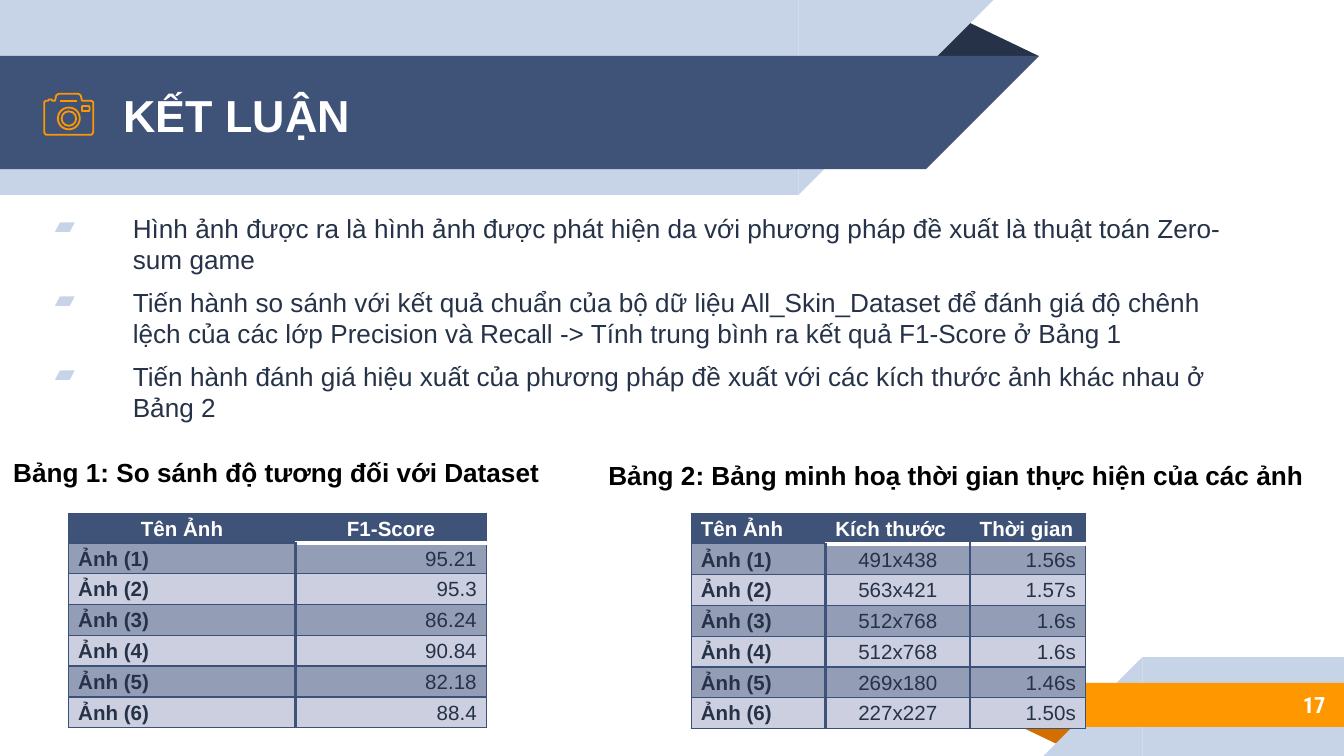
from lxml.etree import SubElement as Sub
from pptx import Presentation
from pptx.dml.color import RGBColor as RGB
from pptx.enum.shapes import MSO_CONNECTOR as Link, MSO_SHAPE as Kind
from pptx.enum.text import MSO_ANCHOR as Anchor, MSO_AUTO_SIZE as Fit, PP_ALIGN as Align
from pptx.oxml.ns import qn
from pptx.util import Pt

hues = {"navy": "3F5378", "edge": "3C5177", "ink": "263248", "pale": "C7D3E6",
        "gold": "FF9800", "rust": "D26F00", "white": "FFFFFF", "black": "000000",
        "dim": "939DB6", "light": "CBCFDF"}


def write(para, text, size, hue, bold=False, font="Arial"):
    run = para.add_run()
    run.text = text
    run.font.size, run.font.bold, run.font.name = Pt(size), bold, font
    run.font.color.rgb = RGB.from_string(hues[hue])


def add_box(left, top, width, height, anchor=Anchor.MIDDLE):
    frame = slide.shapes.add_textbox(Pt(left), Pt(top), Pt(width), Pt(height)).text_frame
    frame.word_wrap, frame.vertical_anchor = True, anchor
    frame.margin_top = frame.margin_bottom = Pt(7.2 if anchor == Anchor.MIDDLE else 3.6)
    return frame


deck = Presentation()
deck.slide_width, deck.slide_height = Pt(720), Pt(405)
slide = deck.slides.add_slide(deck.slide_layouts[5])
shapes = slide.shapes

bands = [
    (Kind.ISOSCELES_TRIANGLE, 547.2, 389.5, 31, 10.1, "rust", 180, False),
    (Kind.RECTANGLE, 612, 352.1, 108, 52.9, "pale", 0, False),
    (Kind.RIGHT_TRIANGLE, 559.1, 352.1, 52.9, 52.9, "pale", 0, True),
    (Kind.RECTANGLE, 571, 365.8, 149, 23.7, "gold", 0, False),
    (Kind.RIGHT_TRIANGLE, 547.2, 365.8, 23.8, 23.7, "gold", 0, True),
    (Kind.ISOSCELES_TRIANGLE, 495.4, 10.1, 61.2, 20, "ink", 0, False),
    (Kind.RECTANGLE, 0, 0, 427.7, 104.4, "pale", 0, False),
    (Kind.RIGHT_TRIANGLE, 427.7, 0, 104.4, 104.4, "pale", 180, True),
    (Kind.RECTANGLE, 0, 30, 496.1, 60.6, "navy", 0, False),
    (Kind.RIGHT_TRIANGLE, 496.1, 30, 60.6, 60.6, "navy", 180, True),
]
for kind, left, top, width, height, hue, turn, flip in bands:
    band = shapes.add_shape(kind, Pt(left), Pt(top), Pt(width), Pt(height))
    band.shadow.inherit = False
    band.fill.solid()
    band.fill.fore_color.rgb = RGB.from_string(hues[hue])
    band.line.fill.background()
    band.rotation = turn
    if flip:
        band.element.spPr.xfrm.set("flipH", "1")
    if kind == Kind.ISOSCELES_TRIANGLE:
        band.adjustments[0] = 0.32

title = shapes.title
title.left, title.top, title.width, title.height = Pt(59), Pt(35.3), Pt(424), Pt(52.6)
frame = title.text_frame
frame.auto_size, frame.vertical_anchor = Fit.NONE, Anchor.MIDDLE
frame.paragraphs[0].alignment = Align.LEFT
write(frame.paragraphs[0], "KẾT LUẬN", 24, "white", True)
shapes.element.append(title.element)

page = add_box(599.8, 365, 117.4, 25.2).paragraphs[0]
page.alignment = Align.RIGHT
write(page, "17", 12, "white", True, "Roboto Condensed")

body = [(49, 54), (44, 54), (43.2, 51), (41.8, 50.2), (31.7, 50.2), (30.2, 51),
        (29.5, 54), (28.2, 54), (27.5, 53.3), (26.2, 53.3), (25.8, 54), (24.5, 54),
        (23.7, 54.8), (23.7, 71), (24.6, 72.2), (49.1, 72.2), (50, 71), (50, 54.8)]
build = shapes.build_freeform(Pt(body[0][0]), Pt(body[0][1]))
build.add_line_segments([(Pt(x), Pt(y)) for x, y in body[1:]])
camera = [build.convert_to_shape()]
for kind, left, top, width, height in [
    (Kind.OVAL, 31, 57.6, 11.8, 11.7),
    (Kind.OVAL, 33, 59.6, 7.8, 7.8),
    (Kind.ROUNDED_RECTANGLE, 43.9, 56.8, 4, 2.7),
]:
    camera.append(shapes.add_shape(kind, Pt(left), Pt(top), Pt(width), Pt(height)))
for part in camera:
    part.shadow.inherit = False
    part.fill.background()
camera.append(shapes.add_connector(Link.STRAIGHT, Pt(32.4), Pt(54), Pt(41), Pt(54)))
Sub(camera[-1].element.spPr, qn("a:effectLst"))
for part in camera:
    part.line.color.rgb = RGB.from_string(hues["gold"])
    part.line.width = Pt(0.96)

points = [
    "Hình ảnh được ra là hình ảnh được phát hiện da với phương pháp đề xuất là thuật toán Zero-sum game",
    "Tiến hành so sánh với kết quả chuẩn của bộ dữ liệu All_Skin_Dataset để đánh giá độ chênh lệch của các lớp Precision và Recall -> Tính trung bình ra kết quả F1-Score ở Bảng 1",
    "Tiến hành đánh giá hiệu xuất của phương pháp đề xuất với các kích thước ảnh khác nhau ở Bảng 2",
]
frame = add_box(21.6, 116.6, 656, 107.3)
for i, point in enumerate(points):
    para = frame.add_paragraph() if i else frame.paragraphs[0]
    para.space_before = Pt(6)
    props = para._p.get_or_add_pPr()
    props.set("marL", str(Pt(42.5)))
    props.set("indent", str(-Pt(41.8)))
    Sub(Sub(props, qn("a:buClr")), qn("a:srgbClr"), val=hues["pale"])
    Sub(props, qn("a:buChar"), char="▰")
    write(para, point, 14, "ink")

write(add_box(0, 240.5, 303.8, 24.5).paragraphs[0],
      "Bảng 1: So sánh độ tương đối với Dataset", 14, "black", True)
para = add_box(318.2, 239, 388.1, 25.9, Anchor.TOP).paragraphs[0]
para.alignment, para.line_spacing = Align.CENTER, 1.2
para.space_before = para.space_after = Pt(6)
write(para, "Bảng 2: Bảng minh hoạ thời gian thực hiện của các ảnh", 14, "black", True)

scores = ["95.21", "95.3", "86.24", "90.84", "82.18", "88.4"]
sizes = ["491x438", "563x421", "512x768", "512x768", "269x180", "227x227"]
times = ["1.56s", "1.57s", "1.6s", "1.6s", "1.46s", "1.50s"]
names = [f"Ảnh ({n})" for n in range(1, 7)]
tables = [
    (36.7, [121.7, 102.2], 13, Align.CENTER, ["Tên Ảnh", "F1-Score"],
     [names, scores], [Align.JUSTIFY, Align.RIGHT]),
    (370.3, [72, 77.4, 61.9], 16.4, Align.JUSTIFY, ["Tên Ảnh", "Kích thước", "Thời gian"],
     [names, sizes, times], [Align.JUSTIFY, Align.CENTER, Align.RIGHT]),
]
for left, widths, first, head, labels, data, sides in tables:
    rows = [labels, *zip(*data)]
    grid = shapes.add_table(len(rows), len(widths), Pt(left), Pt(275),
                            Pt(sum(widths)), Pt(first + 6 * 16.5)).table
    for c, width in enumerate(widths):
        grid.columns[c].width = Pt(width)
    for r, row in enumerate(rows):
        grid.rows[r].height = Pt(16.5 if r else first)
        for c, text in enumerate(row):
            cell = grid.cell(r, c)
            cell.margin_left = cell.margin_right = Pt(5.2)
            cell.margin_top = cell.margin_bottom = 0
            para = cell.text_frame.paragraphs[0]
            para.alignment = sides[c] if r else head
            para.line_spacing = 1.2
            para.space_before = para.space_after = Pt(6)
            write(para, text, 11, "ink" if r else "white", r == 0 or c == 0)
            thin, rule, wall = ("edge", 0.75), ("white", 2), ("navy", 2)
            edges = {
                "a:lnL": wall if r and c == 1 else thin,
                "a:lnR": wall if r and c == 0 else thin,
                "a:lnT": rule if r == 1 and c else thin,
                "a:lnB": rule if r == 0 and c else thin,
            }
            if r == 0:
                edges["a:lnL"] = thin if c == 0 else ("navy", 0.75)
                edges["a:lnR"] = thin if c == len(row) - 1 else ("navy", 0.75)
            props = cell._tc.get_or_add_tcPr()
            for tag, (hue, weight) in edges.items():
                line = Sub(props, qn(tag), w=str(Pt(weight)))
                Sub(Sub(line, qn("a:solidFill")), qn("a:srgbClr"), val=hues[hue])
            cell.fill.solid()
            tone = "navy" if r == 0 else "dim" if r % 2 else "light"
            cell.fill.fore_color.rgb = RGB.from_string(hues[tone])

deck.save("out.pptx")
